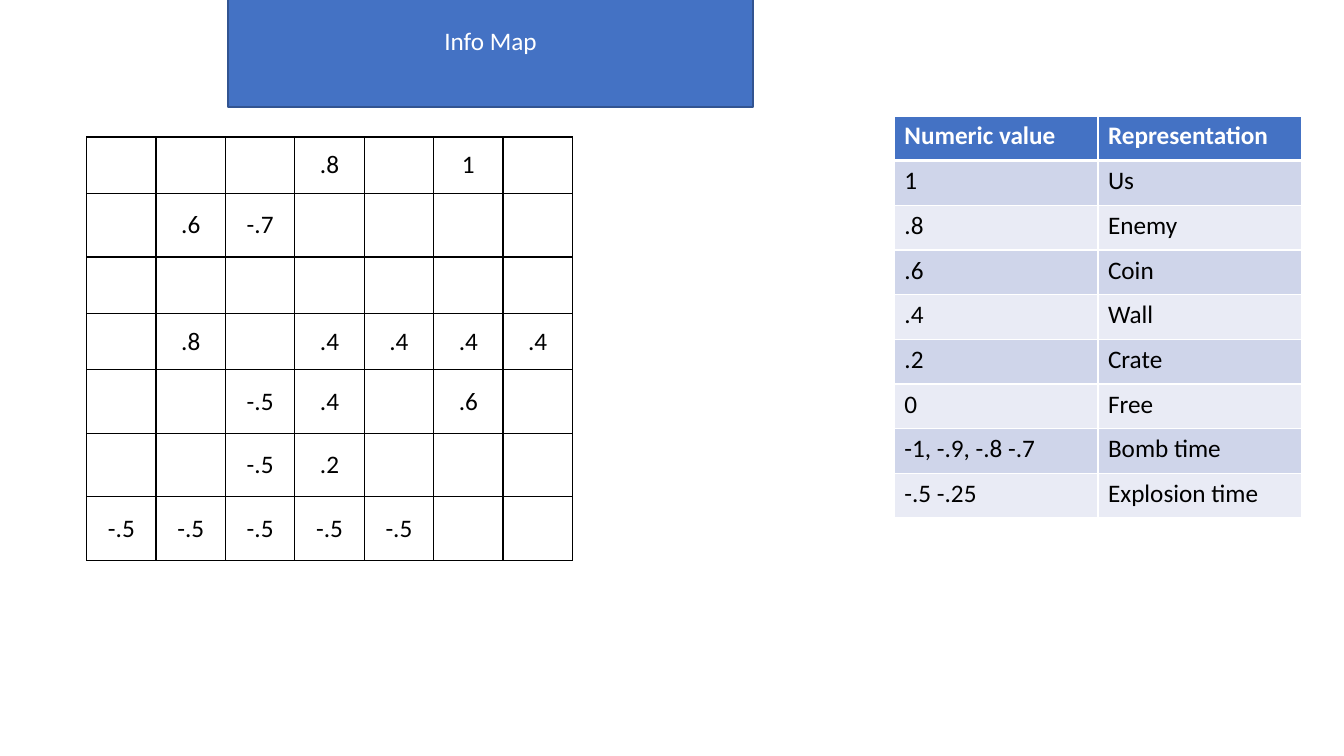
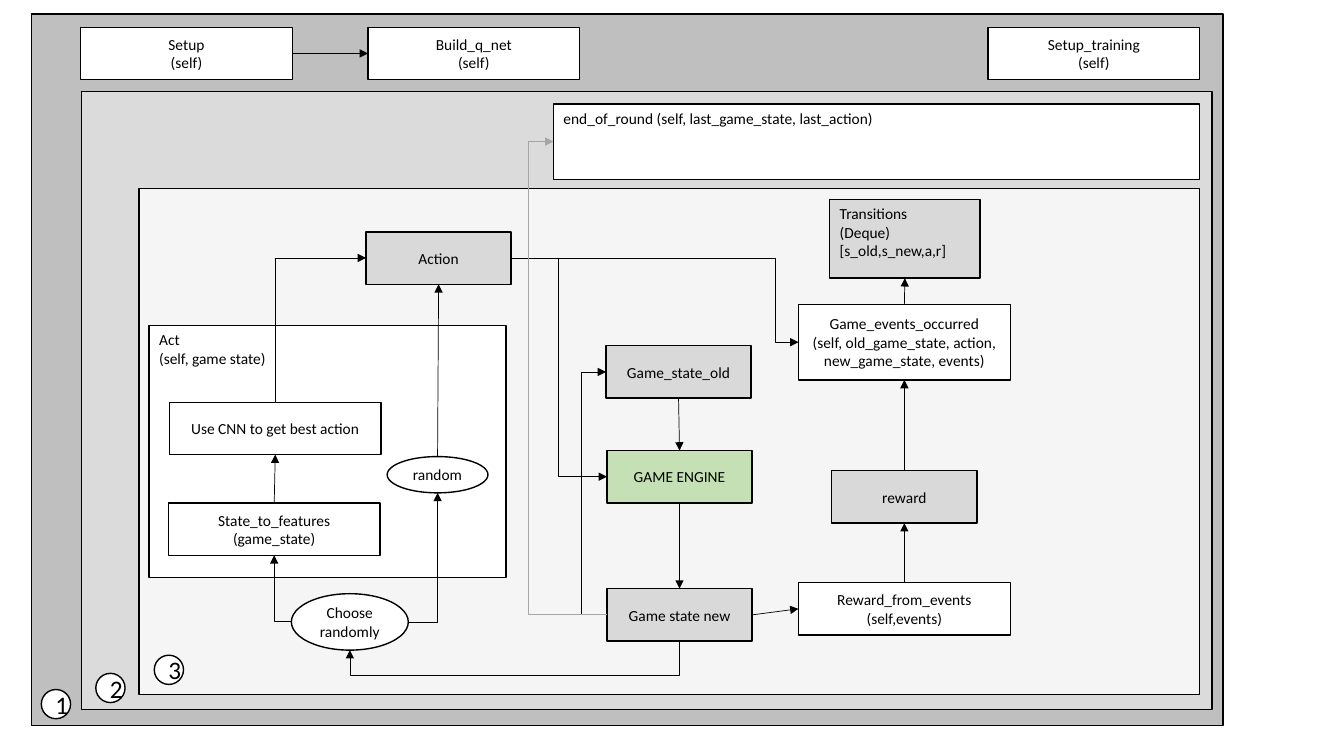
from lxml import etree
from pptx import Presentation
from pptx.dml.color import RGBColor
from pptx.enum.shapes import MSO_CONNECTOR, MSO_SHAPE
from pptx.enum.text import MSO_ANCHOR, PP_ALIGN
from pptx.oxml.ns import qn
from pptx.util import Inches, Pt

FONT = "Calibri"
BLACK = RGBColor(0x00, 0x00, 0x00)
WHITE = RGBColor(0xFF, 0xFF, 0xFF)
BLUE = RGBColor(0x44, 0x72, 0xC4)
DARK_BLUE = RGBColor(0x32, 0x54, 0x91)
BANDS = (RGBColor(0xCF, 0xD5, 0xEA), RGBColor(0xE9, 0xEB, 0xF5))
OUTER_GRAY = RGBColor(0xBF, 0xBF, 0xBF)
ROUND_GRAY = RGBColor(0xDB, 0xDB, 0xDB)
STEP_GRAY = RGBColor(0xF5, 0xF5, 0xF5)
DATA_GRAY = RGBColor(0xD9, 0xD9, 0xD9)
LINE_GRAY = RGBColor(0xA6, 0xA6, 0xA6)
GREEN = RGBColor(0xC5, 0xE0, 0xB4)

TOP, LEFT, BOTTOM, RIGHT = range(4)
TITLE_ONLY, BLANK = 5, 6

INFO_MAP = [
    ["", "", "", ".8", "", "1", ""],
    ["", ".6", "-.7", "", "", "", ""],
    [""] * 7,
    ["", ".8", "", ".4", ".4", ".4", ".4"],
    ["", "", "-.5", ".4", "", ".6", ""],
    ["", "", "-.5", ".2", "", "", ""],
    ["-.5", "-.5", "-.5", "-.5", "-.5", "", ""],
]
MAP_ROW_HEIGHTS = [0.56, 0.63, 0.56, 0.56, 0.63, 0.63, 0.63]
LEGEND = [
    ("Numeric value", "Representation"),
    ("1", "Us"),
    (".8", "Enemy"),
    (".6", "Coin"),
    (".4", "Wall"),
    (".2", "Crate"),
    ("0", "Free"),
    ("-1, -.9, -.8 -.7", "Bomb time"),
    ("-.5 -.25", "Explosion time"),
]


def write(frame, text, size, color=BLACK, align=PP_ALIGN.CENTER, bold=False):
    frame.text = text
    for paragraph in frame.paragraphs:
        paragraph.alignment = align
        paragraph.font.size = Pt(size)
        for run in paragraph.runs:
            run.font.name = FONT
            run.font.size = Pt(size)
            run.font.bold = bold
            run.font.color.rgb = color


def paint(shape, fill, outline=BLACK):
    shape.fill.solid()
    shape.fill.fore_color.rgb = fill
    shape.line.color.rgb = outline
    shape.line.width = Pt(1)


def add_title(slide, text, left, top, width, height):
    title = slide.shapes.title
    title.left, title.top = Inches(left), Inches(top)
    title.width, title.height = Inches(width), Inches(height)
    paint(title, BLUE, DARK_BLUE)
    title.text_frame.vertical_anchor = MSO_ANCHOR.MIDDLE
    write(title.text_frame, text, 18, WHITE)


def add_box(slide, text, left, top, width=2.1, height=0.52, fill=WHITE,
            kind=MSO_SHAPE.RECTANGLE, corner_text=False, size=11):
    """Outlined shape; its text is centred or starts in the top left corner."""
    box = slide.shapes.add_shape(kind, Inches(left), Inches(top),
                                 Inches(width), Inches(height))
    box.shadow.inherit = False
    paint(box, fill)
    frame = box.text_frame
    frame.word_wrap = True
    frame.vertical_anchor = MSO_ANCHOR.TOP if corner_text else MSO_ANCHOR.MIDDLE
    if text:
        write(frame, text, size,
              align=PP_ALIGN.LEFT if corner_text else PP_ALIGN.CENTER)
    return box


def add_data_box(slide, text, left, top, fill=DATA_GRAY):
    return add_box(slide, text, left, top, 1.44, fill=fill)


def add_oval(slide, text, left, top, width, height, size=11):
    return add_box(slide, text, left, top, width, height,
                   kind=MSO_SHAPE.OVAL, size=size)


def join(connector, start, start_side, end, end_side):
    """Join both ends; an oval has two connection sites for each side."""
    connector.begin_connect(start, start_side)
    connector.end_connect(end, end_side)
    ends = connector._element.nvCxnSpPr.cNvCxnSpPr
    for site, shape, side in ((ends.stCxn, start, start_side),
                              (ends.endCxn, end, end_side)):
        if shape.auto_shape_type == MSO_SHAPE.OVAL:
            site.idx = 2 * side


def finish_arrow(connector, color):
    connector.line.color.rgb = color
    connector.line.width = Pt(0.5)
    properties = connector._element.spPr
    etree.SubElement(properties.find(qn("a:ln")), qn("a:tailEnd"), type="triangle")
    etree.SubElement(properties, qn("a:effectLst"))


def add_arrow(slide, start, start_side, end, end_side):
    arrow = slide.shapes.add_connector(MSO_CONNECTOR.STRAIGHT, 0, 0, 0, 0)
    join(arrow, start, start_side, end, end_side)
    finish_arrow(arrow, BLACK)


def turn_upright(connector):
    """Rotate an elbow by 90 degrees so that it leaves its start vertically."""
    x, y = connector.begin_x, connector.begin_y
    dx, dy = connector.end_x - x, connector.end_y - y
    connector.width, connector.height = abs(dy), abs(dx)
    connector.left = x + (dx - abs(dy)) // 2
    connector.top = y + (dy - abs(dx)) // 2
    frame = connector._element.spPr.find(qn("a:xfrm"))
    frame.set("rot", "5400000")
    frame.set("flipH", str(int(dy < 0)))
    frame.set("flipV", str(int(dx > 0)))


def add_elbow(slide, start, start_side, end, end_side, via=None, color=BLACK):
    """Bent arrow; via is the x (or y) of the middle leg, None for one bend."""
    elbow = slide.shapes.add_connector(MSO_CONNECTOR.ELBOW, 0, 0, 0, 0)
    join(elbow, start, start_side, end, end_side)
    upright = start_side in (TOP, BOTTOM)
    geometry = elbow._element.spPr.find(qn("a:prstGeom"))
    if via is None:
        geometry.set("prst", "bentConnector2")
    else:
        first, last = ((elbow.begin_y, elbow.end_y) if upright
                       else (elbow.begin_x, elbow.end_x))
        share = round(100000 * (Inches(via) - first) / (last - first))
        etree.SubElement(geometry.find(qn("a:avLst")), qn("a:gd"),
                         name="adj1", fmla=f"val {share}")
    if upright:
        turn_upright(elbow)
    finish_arrow(elbow, color)


def set_borders(cell, color, top=1, bottom=1):
    properties = cell._tc.get_or_add_tcPr()
    widths = {"a:lnL": 1, "a:lnR": 1, "a:lnT": top, "a:lnB": bottom}
    for position, (tag, width) in enumerate(widths.items()):
        border = etree.Element(qn(tag), w=str(Pt(width)))
        fill = etree.SubElement(border, qn("a:solidFill"))
        etree.SubElement(fill, qn("a:srgbClr"), val=str(color))
        properties.insert(position, border)


def add_grid(slide, rows, left, top, column_width, row_heights):
    width = column_width * len(rows[0])
    table = slide.shapes.add_table(
        len(rows), len(rows[0]), Inches(left), Inches(top),
        Inches(width), Inches(sum(row_heights))).table
    table.first_row = table.horz_banding = False
    for column in table.columns:
        column.width = Inches(column_width)
    for row, height in zip(table.rows, row_heights):
        row.height = Inches(height)
    return table


def add_info_map(slide):
    table = add_grid(slide, INFO_MAP, 0.86, 1.36, 4.82 / 7, MAP_ROW_HEIGHTS)
    for r, values in enumerate(INFO_MAP):
        for c, value in enumerate(values):
            cell = table.cell(r, c)
            cell.fill.background()
            cell.vertical_anchor = MSO_ANCHOR.MIDDLE
            write(cell.text_frame, value, 18)
            set_borders(cell, BLACK)


def add_legend(slide):
    table = add_grid(slide, LEGEND, 8.87, 1.15, 2.02, [3.99 / 9] * len(LEGEND))
    for r, values in enumerate(LEGEND):
        header = r == 0
        for c, value in enumerate(values):
            cell = table.cell(r, c)
            cell.fill.solid()
            cell.fill.fore_color.rgb = BLUE if header else BANDS[(r - 1) % 2]
            write(cell.text_frame, value, 18, WHITE if header else BLACK,
                  PP_ALIGN.LEFT, header)
            set_borders(cell, WHITE, top=3 if r == 1 else 1,
                        bottom=3 if header else 1)


def build_info_map_slide(deck):
    slide = deck.slides.add_slide(deck.slide_layouts[TITLE_ONLY])
    add_title(slide, "Info Map", 2.26, -0.26, 5.21, 1.32)
    add_info_map(slide)
    add_legend(slide)


def build_training_flow_slide(deck):
    slide = deck.slides.add_slide(deck.slide_layouts[BLANK])
    add_box(slide, "", 0.31, 0.14, 11.82, 7.06, OUTER_GRAY)
    add_box(slide, "", 0.81, 0.91, 11.21, 6.13, ROUND_GRAY)
    add_box(slide, "", 1.38, 1.87, 10.52, 5.02, STEP_GRAY)
    for number, left, top in (("1", 0.41, 6.84), ("2", 0.95, 6.68), ("3", 1.53, 6.5)):
        add_oval(slide, number, left, top, 0.29, 0.29, size=18)

    setup = add_box(slide, "Setup\n(self)", 0.8, 0.27)
    build_net = add_box(slide, "Build_q_net\n(self)", 3.65, 0.27)
    add_box(slide, "Setup_training\n(self)", 9.8, 0.27)
    end_of_round = add_box(
        slide, "end_of_round (self, last_game_state, last_action)",
        5.49, 1.03, 6.41, 0.75, corner_text=True)

    add_box(slide, "Act\n(self, game state)", 1.48, 3.23, 3.54, 2.5, corner_text=True)
    use_cnn = add_box(slide, "Use CNN to get best action", 1.68, 3.99)
    features = add_box(slide, "State_to_features (game_state)", 1.67, 4.99)
    random_choice = add_oval(slide, "random", 3.84, 4.53, 1, 0.36)
    choose = add_oval(slide, "Choose randomly", 2.89, 5.89, 1.16, 0.56)
    action = add_data_box(slide, "Action", 3.63, 2.3)

    old_state = add_data_box(slide, "Game_state_old", 6.01, 3.43)
    engine = add_data_box(slide, "GAME ENGINE", 6.02, 4.47, GREEN)
    new_state = add_data_box(slide, "Game state new", 6.02, 5.84)

    transitions = add_box(slide, "Transitions\n(Deque)\n[s_old,s_new,a,r]",
                          8.23, 1.98, 1.49, 0.78, DATA_GRAY, corner_text=True)
    events = add_box(
        slide, "Game_events_occurred\n"
        "(self, old_game_state, action, new_game_state, events)",
        7.92, 3.02, height=0.75)
    reward = add_data_box(slide, "reward", 8.25, 4.67)
    reward_source = add_box(slide, "Reward_from_events\n(self,events)", 7.92, 5.78)

    add_arrow(slide, setup, RIGHT, build_net, LEFT)
    add_arrow(slide, new_state, RIGHT, reward_source, LEFT)
    for upper, lower in ((old_state, engine), (engine, new_state)):
        add_arrow(slide, upper, BOTTOM, lower, TOP)
    for lower, upper in ((features, use_cnn), (random_choice, action),
                         (reward_source, reward), (reward, events),
                         (events, transitions)):
        add_arrow(slide, lower, TOP, upper, BOTTOM)

    add_elbow(slide, choose, LEFT, features, BOTTOM)
    add_elbow(slide, choose, RIGHT, random_choice, BOTTOM)
    add_elbow(slide, use_cnn, TOP, action, LEFT)
    add_elbow(slide, action, RIGHT, engine, LEFT, via=5.54)
    add_elbow(slide, action, RIGHT, events, LEFT, via=7.69)
    add_elbow(slide, new_state, BOTTOM, choose, BOTTOM, via=6.7)
    add_elbow(slide, new_state, LEFT, old_state, LEFT, via=5.76)
    add_elbow(slide, new_state, LEFT, end_of_round, LEFT, via=5.24, color=LINE_GRAY)


def main():
    deck = Presentation()
    deck.slide_width, deck.slide_height = Inches(13.33), Inches(7.5)
    build_info_map_slide(deck)
    build_training_flow_slide(deck)
    deck.save("out.pptx")


if __name__ == "__main__":
    main()
